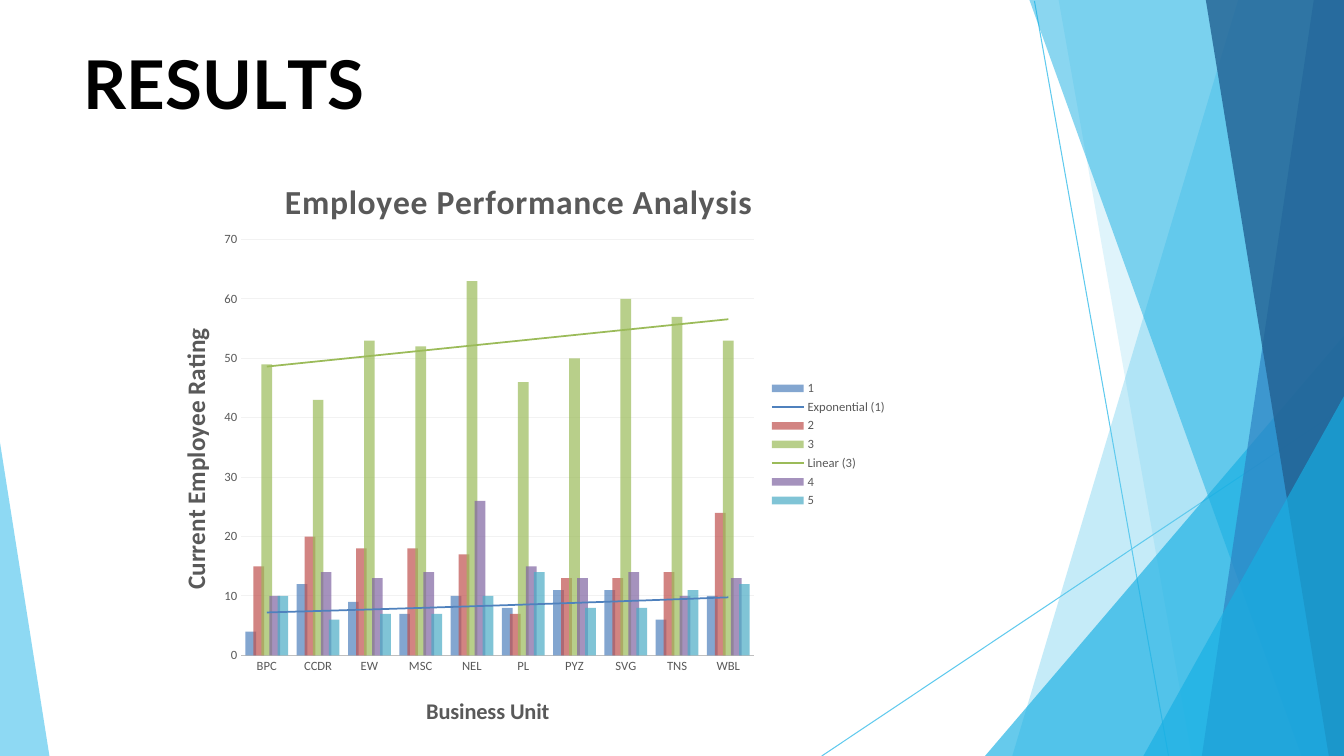
"""Build the employee performance results slide."""
from dataclasses import dataclass
from typing import Any

import lxml.etree
import pptx
import pptx.chart.data
import pptx.dml.color
import pptx.enum.chart
import pptx.enum.shapes
import pptx.oxml.ns
import pptx.util

Inches = pptx.util.Inches
Pt = pptx.util.Pt
qn = pptx.oxml.ns.qn

WIDTH, HEIGHT = 13.33, 7.5
COLOURS = {
    "sky": "5FCAEE", "cyan": "17AFE3", "blue": "2D83C3", "navy": "226192",
    "black": "000000", "label": "595959", "axis": "BFBFBF", "grid": "F2F2F2",
    "rating1": "4F81BD", "rating2": "C0504D", "rating3": "9BBB59",
    "rating4": "8064A2", "rating5": "4BACC6",
}
UNITS = ("BPC", "CCDR", "EW", "MSC", "NEL", "PL", "PYZ", "SVG", "TNS", "WBL")
HEADING = (("R", 0), ("E", -40), ("S", 10), ("U", -30), ("L", -400), ("TS", 0))
LABEL_FONT = {"name": "Calibri", "size": Pt(9), "bold": False}


@dataclass(frozen=True)
class Ray:
    start: tuple[float, float]
    end: tuple[float, float]


@dataclass(frozen=True)
class Facet:
    corners: tuple[tuple[float, float], ...]
    colour: str
    opacity: int


@dataclass(frozen=True)
class Rating:
    name: str
    counts: tuple[int, ...]
    trend: str = ""


@dataclass(frozen=True)
class Caption:
    text: str
    size: int
    x: float
    y: float
    spacing: int = 0
    rotation: int = 0


def band(top: float, bottom: float, colour: str, opacity: int) -> Facet:
    """Describe a facet from a slanted left edge to the right slide edge."""
    return Facet(((WIDTH, 0), (top, 0), (bottom, HEIGHT), (WIDTH, HEIGHT)), colour, opacity)


def wedge(peak: float, bottom: float, opacity: int) -> Facet:
    """Describe a triangle in the lower right corner."""
    return Facet(((WIDTH, peak), (bottom, HEIGHT), (WIDTH, HEIGHT)), "cyan", opacity)


RAYS = (Ray((10.26, 0.01), (11.59, HEIGHT)), Ray((WIDTH, 4.04), (8.15, HEIGHT)))
FACETS = (
    band(12.28, 10.04, "sky", 36),
    band(10.5, 11.82, "sky", 20),
    wedge(3.33, 9.77, 66),
    band(10.21, 12.91, "cyan", 50),
    band(13.03, 11.92, "blue", 70),
    band(11.96, 13.18, "navy", 80),
    wedge(3.93, 11.34, 66),
    Facet(((0, 4.39), (0, HEIGHT), (0.49, HEIGHT)), "sky", 70),
)
RATINGS = (
    Rating("1", (4, 12, 9, 7, 10, 8, 11, 11, 6, 10), "exp"),
    Rating("2", (15, 20, 18, 18, 17, 7, 13, 13, 14, 24)),
    Rating("3", (49, 43, 53, 52, 63, 46, 50, 60, 57, 53), "linear"),
    Rating("4", (10, 14, 13, 14, 26, 15, 13, 14, 10, 13)),
    Rating("5", (10, 6, 7, 7, 10, 14, 8, 8, 11, 12)),
)


def rgb(colour: str) -> pptx.dml.color.RGBColor:
    """Look up a named colour."""
    return pptx.dml.color.RGBColor.from_string(COLOURS[colour])


def apply_format(target: Any, values: dict[str, Any]) -> None:
    """Set every given attribute on the target."""
    for name, value in values.items():
        setattr(target, name, value)


def add_xml(parent: Any, tag: str, **attributes: str) -> Any:
    """Append a child element with attributes."""
    return lxml.etree.SubElement(parent, qn(tag), attributes)


def fill_translucent(target: Any, element: Any, colour: str, opacity: int) -> None:
    """Give a shape or series a partly transparent solid fill."""
    target.fill.solid()
    target.fill.fore_color.rgb = rgb(colour)
    solid = element.find(qn("c:spPr") + "/" + qn("a:solidFill"))
    if solid is None:
        solid = element.find(qn("p:spPr") + "/" + qn("a:solidFill"))
    add_xml(solid[0], "a:alpha", val=str(opacity * 1000))


def draw_ray(slide: Any, ray: Ray) -> None:
    """Draw a thin background line."""
    line = slide.shapes.add_connector(
        pptx.enum.shapes.MSO_CONNECTOR.STRAIGHT, *map(Inches, ray.start + ray.end))
    line.line.color.rgb = rgb("sky")
    line.line.width = Pt(0.75)
    add_xml(line.element.spPr, "a:effectLst")


def draw_facet(slide: Any, facet: Facet) -> None:
    """Draw a translucent background polygon."""
    first, *rest = [(Inches(x), Inches(y)) for x, y in facet.corners]
    builder = slide.shapes.build_freeform(*first)
    builder.add_line_segments(rest, close=True)
    polygon = builder.convert_to_shape()
    polygon.shadow.inherit = False
    polygon.line.fill.background()
    fill_translucent(polygon, polygon.element, facet.colour, facet.opacity)


def draw_heading(slide: Any) -> None:
    """Write the slide heading with its letter spacing."""
    heading = slide.shapes.add_textbox(*map(Inches, (0.83, 0.42, 11.68, 0.81)))
    frame = heading.text_frame
    apply_format(frame, {"word_wrap": True, "margin_left": 0, "margin_right": 0,
                         "margin_top": 0, "margin_bottom": 0})
    for letters, spacing in HEADING:
        run = frame.paragraphs[0].add_run()
        run.text = letters
        apply_format(run.font, {"name": "Lato", "size": Pt(48), "bold": True})
        run.font.color.rgb = rgb("black")
        run._r.get_or_add_rPr().set("spc", str(spacing))


def place(element: Any, index: int, **position: float) -> None:
    """Fix the layout of a chart part as fractions of the chart."""
    for previous in element.findall(qn("c:layout")):
        element.remove(previous)
    layout = add_xml(element, "c:layout")
    element.insert(index, layout)
    manual = add_xml(layout, "c:manualLayout")
    if "w" in position:
        add_xml(manual, "c:layoutTarget", val="inner")
    for mode in ("xMode", "yMode"):
        add_xml(manual, f"c:{mode}", val="edge")
    for side, value in position.items():
        add_xml(manual, f"c:{side}", val=str(value))


def write_caption(title: Any, caption: Caption) -> None:
    """Write and position a chart or axis title."""
    title.text_frame.text = caption.text
    run = title.text_frame.paragraphs[0].runs[0]
    apply_format(run.font, {"name": "Calibri", "size": Pt(caption.size), "bold": True})
    run.font.color.rgb = rgb("label")
    run._r.get_or_add_rPr().set("spc", str(caption.spacing))
    body = next(title.element.iter(qn("a:bodyPr")))
    body.set("rot", str(caption.rotation * 60000))
    place(title.element, 1, x=caption.x, y=caption.y)


def style_series(series: Any, rating: Rating) -> None:
    """Colour a rating's columns and add its trend line."""
    colour = "rating" + rating.name
    element = series.format.fill and series._element
    fill_translucent(series.format, element, colour, 70)
    if rating.trend:
        trend = add_xml(element, "c:trendline")
        element.find(qn("c:cat")).addprevious(trend)
        line = add_xml(add_xml(trend, "c:spPr"), "a:ln", w=str(Pt(1.25)))
        add_xml(add_xml(line, "a:solidFill"), "a:srgbClr", val=COLOURS[colour])
        add_xml(trend, "c:trendlineType", val=rating.trend)
        for option in ("dispRSqr", "dispEq"):
            add_xml(trend, f"c:{option}", val="0")


def draw_chart(slide: Any) -> None:
    """Draw the ratings per business unit."""
    data = pptx.chart.data.CategoryChartData()
    data.categories = UNITS
    for rating in RATINGS:
        data.add_series(rating.name, rating.counts)
    enums = pptx.enum.chart
    chart = slide.shapes.add_chart(
        enums.XL_CHART_TYPE.COLUMN_CLUSTERED, *map(Inches, (1.42, 1.42, 7.48, 5.98)), data).chart
    apply_format(chart, {"has_title": True, "has_legend": True})
    apply_format(chart.legend, {"position": enums.XL_LEGEND_POSITION.RIGHT, "include_in_layout": False})
    apply_format(chart.plots[0], {"gap_width": 80, "overlap": 25, "vary_by_categories": False})
    units, scores = chart.category_axis, chart.value_axis
    apply_format(scores, {"minimum_scale": 0, "maximum_scale": 70, "major_unit": 10})
    for axis in (units, scores):
        apply_format(axis, {"major_tick_mark": enums.XL_TICK_MARK.NONE, "has_title": True})
    for font in (chart.font, units.tick_labels.font, scores.tick_labels.font, chart.legend.font):
        apply_format(font, LABEL_FONT)
        font.color.rgb = rgb("label")
    scores.format.line.fill.background()
    for line, colour, width in ((units.format.line, "axis", 1.25),
                                (scores.major_gridlines.format.line, "grid", 0.75)):
        line.color.rgb = rgb(colour)
        line.width = Pt(width)
    write_caption(chart.chart_title, Caption("Employee Performance Analysis", 24, 0.18, 0.05, 50))
    write_caption(units.axis_title, Caption("Business Unit", 16, 0.37, 0.91))
    write_caption(scores.axis_title, Caption("Current Employee Rating", 18, 0.04, 0.3, rotation=-90))
    for series, rating in zip(chart.plots[0].series, RATINGS):
        style_series(series, rating)
    place(next(chart.element.iter(qn("c:plotArea"))) if hasattr(chart, "element")
          else next(chart._chartSpace.iter(qn("c:plotArea"))), 0, x=0.13, y=0.16, w=0.68, h=0.69)


def main() -> None:
    """Assemble and save the slide."""
    deck = pptx.Presentation()
    apply_format(deck, {"slide_width": Inches(WIDTH), "slide_height": Inches(HEIGHT)})
    slide = deck.slides.add_slide(deck.slide_layouts[6])
    for ray in RAYS:
        draw_ray(slide, ray)
    for facet in FACETS:
        draw_facet(slide, facet)
    draw_heading(slide)
    draw_chart(slide)
    deck.save("out.pptx")


if __name__ == "__main__":
    main()
